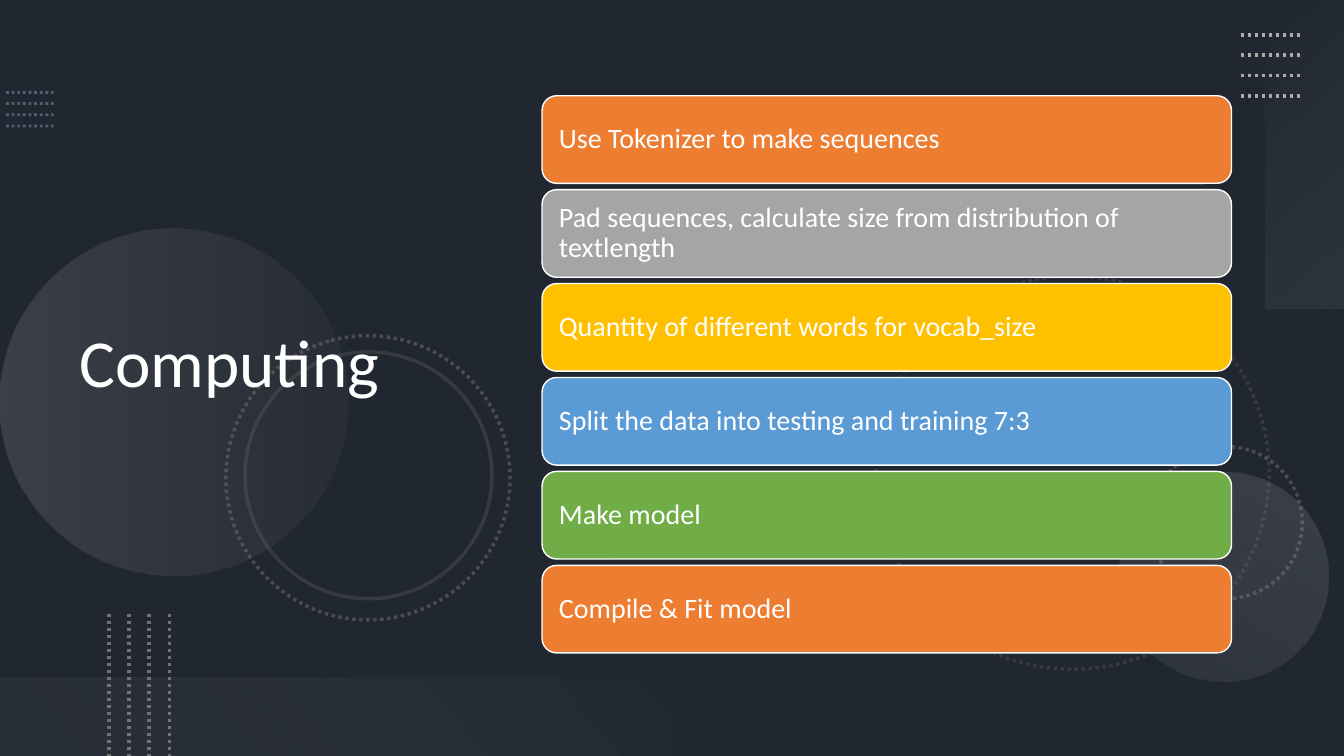
from lxml.etree import SubElement
from pptx import Presentation
from pptx.dml.color import RGBColor
from pptx.enum.dml import MSO_LINE
from pptx.enum.shapes import MSO_CONNECTOR, MSO_SHAPE
from pptx.enum.text import MSO_ANCHOR, PP_ALIGN
from pptx.oxml.ns import qn
from pptx.util import Pt

COLORS = {
    "background": "44546A", "shade": "000000", "white": "FFFFFF",
    "slate": "8497B0", "gray": "767171", "silver": "AFABAB",
    "pale": "F5F5F5", "mist": "F1F0F0",
    "orange": "ED7D31", "ash": "A5A5A5", "gold": "FFC000",
    "blue": "5B9BD5", "green": "70AD47",
}
STEPS = [
    ("Use Tokenizer to make sequences", "orange"),
    ("Pad sequences, calculate size from distribution of textlength", "ash"),
    ("Quantity of different words for vocab_size", "gold"),
    ("Split the data into testing and training 7:3", "blue"),
    ("Make model", "green"),
    ("Compile & Fit model", "orange"),
]
WIDTH, HEIGHT = 960, 540


def rgb(name):
    return RGBColor.from_string(COLORS[name])


def set_opacity(shape, percent):
    """Give every colour of the shape's fill and line the same opacity."""
    for color in shape.element.spPr.iter(qn("a:srgbClr")):
        SubElement(color, qn("a:alpha"), val=str(percent * 1000))


def set_line(shape, color, width, dotted=False):
    shape.line.color.rgb = rgb(color)
    shape.line.width = Pt(width)
    if dotted:
        shape.line.dash_style = MSO_LINE.ROUND_DOT


def set_gradient(shape, stops, angle):
    """Fill with (position, colour, opacity) stops at a clockwise angle."""
    shape.fill.gradient()
    shape.fill.gradient_angle = 360 - angle
    for stop, (position, color, opacity) in zip(shape.fill.gradient_stops, stops):
        stop.position = position
        stop.color.rgb = rgb(color)
    for element, (_, _, opacity) in zip(shape.element.spPr.iter(qn("a:srgbClr")), stops):
        SubElement(element, qn("a:alpha"), val=str(opacity * 1000))


def add_plain_shape(slide, kind, box, rotation=0):
    shape = slide.shapes.add_shape(kind, *map(Pt, box))
    shape.shadow.inherit = False
    shape.rotation = rotation
    shape.fill.background()
    shape.line.fill.background()
    return shape


def add_shade(slide, box):
    shade = add_plain_shape(slide, MSO_SHAPE.RECTANGLE, box)
    shade.fill.solid()
    shade.fill.fore_color.rgb = rgb("shade")
    set_opacity(shade, 53)


def add_dotted_lines(slide, box, color, width, vertical=False, opacity=100, count=4):
    """Spread parallel dotted lines evenly over the box, edge to edge."""
    left, top, box_width, box_height = box
    for index in range(count):
        share = index / (count - 1)
        if vertical:
            x = left + box_width * share
            ends = (x, top, x, top + box_height)
        else:
            y = top + box_height * share
            ends = (left, y, left + box_width, y)
        line = slide.shapes.add_connector(MSO_CONNECTOR.STRAIGHT, *map(Pt, ends))
        set_line(line, color, width, dotted=True)
        SubElement(line.element.spPr, qn("a:effectLst"))
        if opacity < 100:
            set_opacity(line, opacity)


def add_ring(slide, left, top, size, rotation, opacity, dotted=True):
    ring = add_plain_shape(slide, MSO_SHAPE.OVAL, (left, top, size, size), rotation)
    set_line(ring, "gray", 2.5, dotted)
    set_opacity(ring, opacity)


def add_glow(slide, kind, box, rotation, stops, angle):
    glow = add_plain_shape(slide, kind, box, rotation)
    set_gradient(glow, stops, angle)


def add_decoration(slide):
    add_dotted_lines(slide, (4.3, 66, 34, 24), "slate", 2, opacity=50)
    add_ring(slide, 625.7, 197.3, 280.8, 75, 25)
    add_ring(slide, 821.5, 319, 108.7, 270, 50)
    add_glow(slide, MSO_SHAPE.OVAL, (0, 163.2, 248, 248), 270,
             [(0, "silver", 20), (1, "gray", 10)], 90)
    add_glow(slide, MSO_SHAPE.OVAL, (799.2, 336.5, 150, 150), 210,
             [(0, "silver", 10), (1, "silver", 20)], 90)
    add_ring(slide, 161.3, 239.8, 203, 75, 50)
    add_ring(slide, 175, 251.3, 176.4, 75, 25, dotted=False)
    add_glow(slide, MSO_SHAPE.RECTANGLE, (822, 82.2, 220.5, 56.2), 270,
             [(0, "pale", 0), (1, "silver", 10)], 140)
    add_dotted_lines(slide, (886.3, 25, 43.2, 43.4), "silver", 2.5)
    add_glow(slide, MSO_SHAPE.RECTANGLE, (0, 483.8, 480, 56.2), 180,
             [(0.1, "gray", 10), (1, "mist", 0)], 140)
    add_dotted_lines(slide, (77.8, 438.5, 43.2, 101.5), "gray", 2.5, vertical=True)


def write_text(shape, text, size, margins):
    frame = shape.text_frame
    frame_format = {"word_wrap": True, "vertical_anchor": MSO_ANCHOR.MIDDLE, **margins}
    for name, value in frame_format.items():
        setattr(frame, name, value)
    paragraph = frame.paragraphs[0]
    paragraph.text = text
    paragraph.alignment = PP_ALIGN.LEFT
    paragraph.line_spacing = 0.9
    for name, value in {"name": "Calibri", "size": Pt(size)}.items():
        setattr(paragraph.font, name, value)
    paragraph.font.color.rgb = rgb("white")


def add_title(slide, box, text):
    title = slide.shapes.add_textbox(*map(Pt, box))
    write_text(title, text, 48, {})


def add_steps(slide, box, steps, gap):
    left, top, width, height = box
    card_height = (height - gap * (len(steps) - 1)) / len(steps)
    margins = {"margin_left": Pt(9), "margin_right": Pt(9),
               "margin_top": Pt(9), "margin_bottom": Pt(9)}
    for index, (text, color) in enumerate(steps):
        card_top = top + index * (card_height + gap)
        card = add_plain_shape(slide, MSO_SHAPE.ROUNDED_RECTANGLE,
                               (left, card_top, width, card_height))
        card.fill.solid()
        card.fill.fore_color.rgb = rgb(color)
        set_line(card, "white", 1)
        write_text(card, text, 20, margins)


def main():
    presentation = Presentation()
    presentation.slide_width = Pt(WIDTH)
    presentation.slide_height = Pt(HEIGHT)
    slide = presentation.slides.add_slide(presentation.slide_layouts[6])
    slide.background.fill.solid()
    slide.background.fill.fore_color.rgb = rgb("background")
    add_shade(slide, (0, 0, WIDTH, HEIGHT))
    add_decoration(slide)
    add_title(slide, (49.5, 38.9, 330.5, 444.2), "Computing")
    add_steps(slide, (387.2, 68.4, 492.5, 398), STEPS, gap=4.5)
    presentation.save("out.pptx")


if __name__ == "__main__":
    main()
